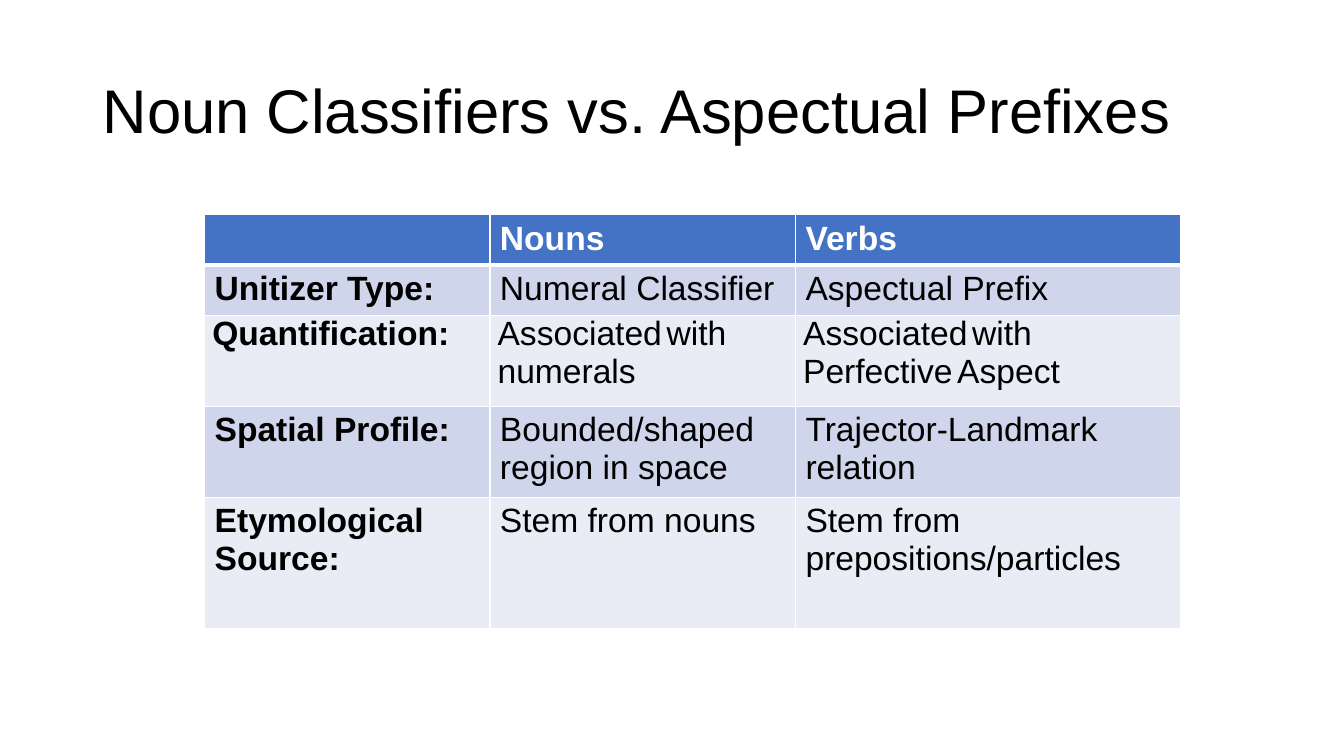
from dataclasses import dataclass

from lxml import etree
from pptx import Presentation
from pptx.dml.color import RGBColor
from pptx.enum.text import MSO_ANCHOR, MSO_AUTO_SIZE, PP_ALIGN
from pptx.oxml.ns import qn
from pptx.util import Cm, Pt

LEFT = PP_ALIGN.LEFT
MIDDLE = MSO_ANCHOR.MIDDLE
TOP = MSO_ANCHOR.TOP
NO_FIT = MSO_AUTO_SIZE.NONE


@dataclass(frozen=True)
class Theme:
    font: str = "Arial"
    title_size: int = 44
    table_size: int = 24
    space_size: int = 12
    ink: str = "000000"
    white: str = "FFFFFF"
    header: str = "4472C4"
    bands: tuple = ("CFD5EA", "E9EBF5")
    rule: int = 1
    header_rule: int = 3


THEME = Theme()

TITLE = "Noun Classifiers vs. Aspectual Prefixes"
COMPARISON = [
    ["", "Nouns", "Verbs"],
    ["Unitizer Type:", "Numeral Classifier", "Aspectual Prefix"],
    ["Quantification:", "Associated with numerals", "Associated with Perfective Aspect"],
    ["Spatial Profile:", "Bounded/shaped region in space", "Trajector-Landmark relation"],
    ["Etymological Source:", "Stem from nouns", "Stem from prepositions/particles"],
]
COLUMN_WIDTHS = [7.19, 7.7, 9.7]
ROW_HEIGHTS = [1.27, 1.27, 2.29, 2.29, 3.3]
TIGHT_ROW = 2


def style_font(font, size, color, bold=False):
    font.name = THEME.font
    font.size = Pt(size)
    font.bold = bold
    font.color.rgb = RGBColor.from_string(color)


def set_borders(cell, top, bottom):
    properties = cell._tc.get_or_add_tcPr()
    widths = {"a:lnL": THEME.rule, "a:lnR": THEME.rule, "a:lnT": top, "a:lnB": bottom}
    for position, (tag, width) in enumerate(widths.items()):
        line = etree.Element(qn(tag), w=str(Pt(width)))
        fill = etree.SubElement(line, qn("a:solidFill"))
        etree.SubElement(fill, qn("a:srgbClr"), val=THEME.white)
        properties.insert(position, line)


def write_words(para, text):
    for index, word in enumerate(text.split()):
        if index:
            gap = para.add_run()
            gap.text = " "
            gap.font.size = Pt(THEME.space_size)
        para.add_run().text = word


def fill_cell(cell, text, row, column):
    is_header = row == 0
    is_tight = row == TIGHT_ROW
    cell.fill.solid()
    color = THEME.header if is_header else THEME.bands[(row - 1) % 2]
    cell.fill.fore_color.rgb = RGBColor.from_string(color)
    set_borders(
        cell,
        top=THEME.header_rule if row == 1 else THEME.rule,
        bottom=THEME.header_rule if is_header else THEME.rule,
    )
    cell.vertical_anchor = TOP
    cell.margin_left = cell.margin_right = Cm(0.19 if is_tight else 0.25)
    cell.margin_top = cell.margin_bottom = Cm(0 if is_tight else 0.13)
    para = cell.text_frame.paragraphs[0]
    para.alignment = LEFT
    if is_tight:
        write_words(para, text)
    else:
        para.text = text
    style_font(
        para.font,
        THEME.table_size,
        THEME.white if is_header else THEME.ink,
        bold=is_header or column == 0,
    )


def place_title(page, left, top, width, height):
    title = page.shapes.title
    title.left, title.top, title.width, title.height = left, top, width, height
    frame = title.text_frame
    frame.word_wrap = True
    frame.auto_size = NO_FIT
    frame.vertical_anchor = MIDDLE
    para = frame.paragraphs[0]
    para.text = TITLE
    para.alignment = LEFT
    para.line_spacing = 0.9
    style_font(para.font, THEME.title_size, THEME.ink)


def place_comparison(page, left, top, width, height):
    frame = page.shapes.add_table(len(ROW_HEIGHTS), len(COLUMN_WIDTHS), left, top, width, height)
    table = frame.table
    for column, share in zip(table.columns, COLUMN_WIDTHS):
        column.width = int(width * share / sum(COLUMN_WIDTHS))
    for row, share in zip(table.rows, ROW_HEIGHTS):
        row.height = int(height * share / sum(ROW_HEIGHTS))
    for row, texts in enumerate(COMPARISON):
        for column, text in enumerate(texts):
            fill_cell(table.cell(row, column), text, row, column)


def main():
    deck = Presentation()
    deck.slide_width, deck.slide_height = Cm(33.87), Cm(19.05)
    page = deck.slides.add_slide(deck.slide_layouts[5])
    place_title(page, Cm(2.33), Cm(1.02), Cm(29.21), Cm(3.68))
    place_comparison(page, Cm(5.16), Cm(5.41), Cm(24.59), Cm(10.42))
    deck.save("out.pptx")


if __name__ == "__main__":
    main()
